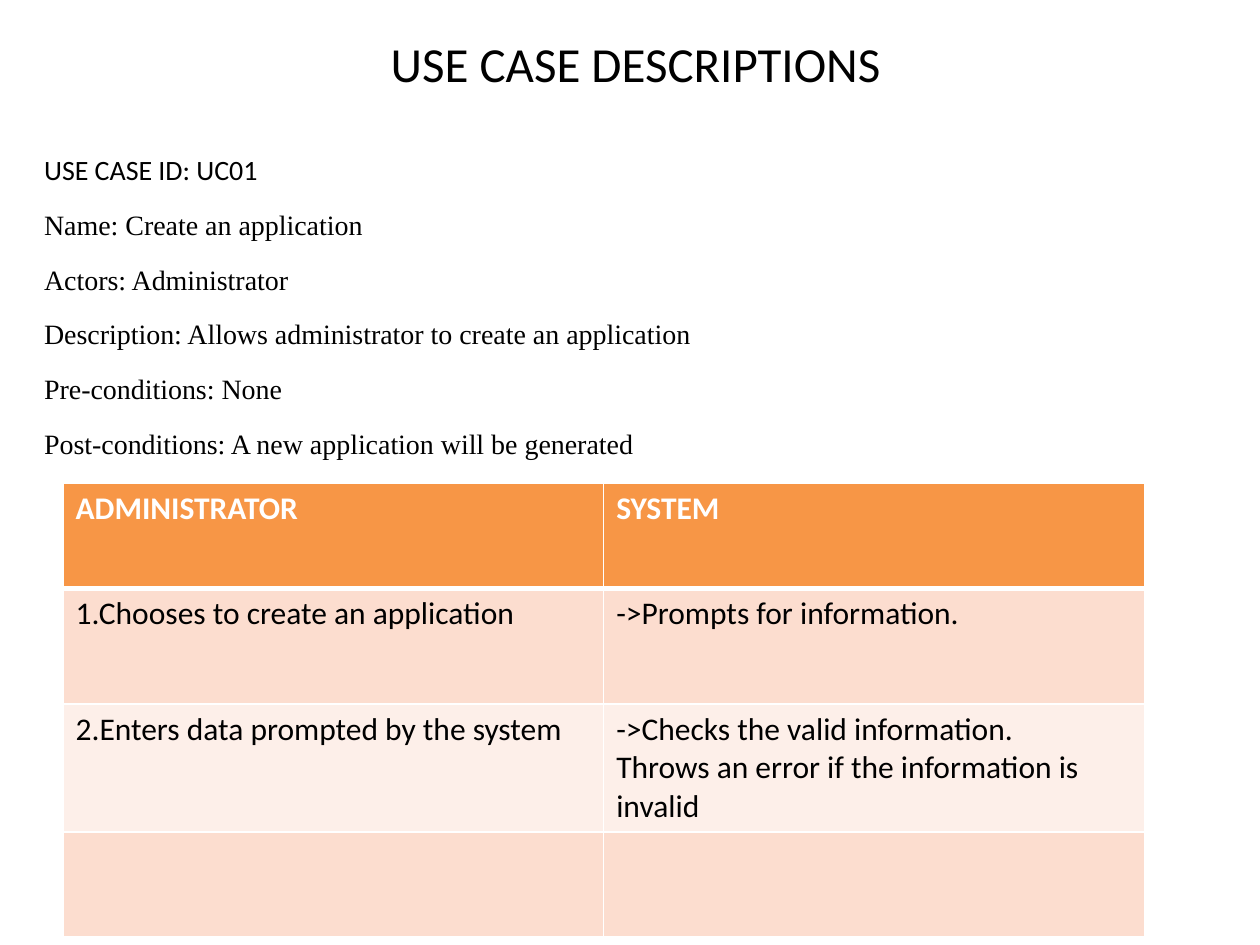
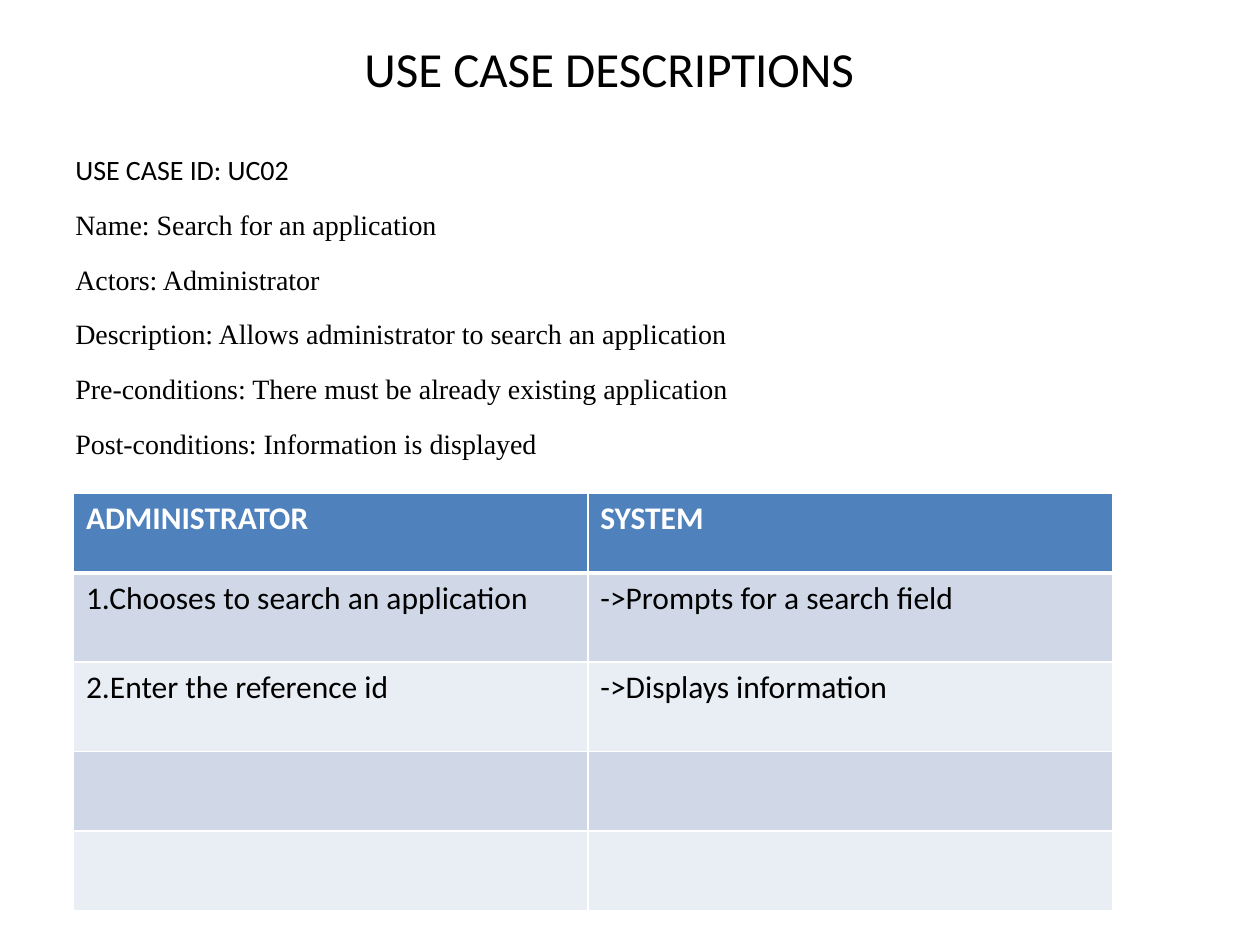
from dataclasses import dataclass

import pptx
import pptx.dml.color
import pptx.enum.text
import pptx.oxml
import pptx.oxml.ns
import pptx.util
from pptx.dml.color import RGBColor
from pptx.util import Cm

# Shared colours and fonts
BLACK = RGBColor(0x00, 0x00, 0x00)
WHITE = RGBColor(0xFF, 0xFF, 0xFF)
ORANGE = RGBColor(0xF7, 0x96, 0x46)
ORANGE_BAND = RGBColor(0xFC, 0xDD, 0xCF)
ORANGE_PALE = RGBColor(0xFD, 0xEF, 0xE9)
BLUE = RGBColor(0x4F, 0x81, 0xBD)
BLUE_BAND = RGBColor(0xD0, 0xD8, 0xE8)
BLUE_PALE = RGBColor(0xE9, 0xED, 0xF4)
SANS = "Calibri"
SERIF = "Times New Roman"

TITLE = "USE CASE DESCRIPTIONS"
FIELDS = ("Name", "Actors", "Description", "Pre-conditions", "Post-conditions")
HEADINGS = ("ADMINISTRATOR", "SYSTEM")


@dataclass(frozen=True)
class Box:
    """Left, top, width and height in centimetres."""
    left: float
    top: float
    width: float
    height: float

    def lengths(self) -> tuple:
        return Cm(self.left), Cm(self.top), Cm(self.width), Cm(self.height)


@dataclass(frozen=True)
class Palette:
    header: RGBColor
    bands: tuple[RGBColor, RGBColor]


@dataclass(frozen=True)
class UseCase:
    number: str
    details: tuple[str, ...]      # one value for each of FIELDS
    steps: tuple[tuple[str, str], ...]
    palette: Palette
    title_box: Box
    details_box: Box
    flow_left: float
    flow_top: float
    column_widths: tuple[float, float]
    row_heights: tuple[float, ...]


USE_CASES = (
    UseCase(
        number="UC01",
        details=("Create an application", "Administrator",
                 "Allows administrator to create an application",
                 "None", "A new application will be generated"),
        steps=(("1.Chooses to create an application", "->Prompts for information."),
               ("2.Enters data prompted by the system",
                "->Checks the valid information.\n"
                "Throws an error if the information is invalid"),
               ("", "")),
        palette=Palette(ORANGE, (ORANGE_BAND, ORANGE_PALE)),
        title_box=Box(4.87, 0, 15.88, 2.54),
        details_box=Box(0.64, 2.96, 24.34, 16.09),
        flow_left=1.27, flow_top=9.74,
        column_widths=(10.9, 10.9),
        row_heights=(2.12, 2.33, 2.58, 2.12),
    ),
    UseCase(
        number="UC02",
        details=("Search for an application", "Administrator",
                 "Allows administrator to search an application",
                 "There must be already existing application",
                 "Information is displayed"),
        steps=(("1.Chooses to search an application", "->Prompts for a search field"),
               ("2.Enter the reference id", "->Displays information"),
               ("", ""), ("", "")),
        palette=Palette(BLUE, (BLUE_BAND, BLUE_PALE)),
        title_box=Box(0.85, 0, 22.86, 2.75),
        details_box=Box(1.27, 2.96, 22.86, 14.05),
        flow_left=1.48, flow_top=9.95,
        column_widths=(10.37, 10.58),
        row_heights=(1.6, 1.8, 1.8, 1.6, 1.6),
    ),
)


def add_run(paragraph, text: str, size: float, font: str = SANS,
            color: RGBColor = BLACK, bold: bool = False) -> None:
    run = paragraph.add_run()
    run.text = text
    run.font.size = pptx.util.Pt(size)
    run.font.name = font
    run.font.bold = bold
    run.font.color.rgb = color


def add_frame(slide, box: Box):
    frame = slide.shapes.add_textbox(*box.lengths()).text_frame
    frame.word_wrap = True
    return frame


def add_title(slide, box: Box) -> None:
    frame = add_frame(slide, box)
    frame.vertical_anchor = pptx.enum.text.MSO_ANCHOR.MIDDLE
    heading = frame.paragraphs[0]
    heading.alignment = pptx.enum.text.PP_ALIGN.CENTER
    add_run(heading, TITLE, 28)


def add_details(slide, case: UseCase) -> None:
    frame = add_frame(slide, case.details_box)
    identifier = frame.paragraphs[0]
    identifier.space_before = pptx.util.Pt(3.2)
    add_run(identifier, f"USE CASE ID: {case.number}", 16)
    for field, value in zip(FIELDS, case.details):
        detail = frame.add_paragraph()
        detail.line_spacing = pptx.util.Pt(28)
        detail.space_before = pptx.util.Pt(3.2)
        add_run(detail, f"{field}: {value}", 16, SERIF)


def set_borders(cell, top: float, bottom: float) -> None:
    """Draw white cell borders; widths are in points."""
    properties = cell._tc.get_or_add_tcPr()
    widths = (("lnL", 1), ("lnR", 1), ("lnT", top), ("lnB", bottom))
    for position, (side, width) in enumerate(widths):
        border = pptx.oxml.parse_xml(
            f'<a:{side} {pptx.oxml.ns.nsdecls("a")} w="{pptx.util.Pt(width)}">'
            f'<a:solidFill><a:srgbClr val="{WHITE}"/></a:solidFill></a:{side}>')
        properties.insert(position, border)


def add_flow(slide, case: UseCase) -> None:
    """Add the table of administrator steps and system responses."""
    rows = (HEADINGS,) + case.steps
    area = Box(case.flow_left, case.flow_top,
               sum(case.column_widths), sum(case.row_heights))
    flow = slide.shapes.add_table(len(rows), len(HEADINGS), *area.lengths()).table
    for column, width in zip(flow.columns, case.column_widths):
        column.width = Cm(width)
    for row, height in zip(flow.rows, case.row_heights):
        row.height = Cm(height)

    for row_index, texts in enumerate(rows):
        is_header = row_index == 0
        fill = case.palette.header if is_header else case.palette.bands[(row_index - 1) % 2]
        for column_index, text in enumerate(texts):
            cell = flow.cell(row_index, column_index)
            cell.fill.solid()
            cell.fill.fore_color.rgb = fill
            set_borders(cell, top=3 if row_index == 1 else 1,
                        bottom=3 if is_header else 1)
            for line_index, line in enumerate(text.splitlines()):
                frame = cell.text_frame
                step = frame.add_paragraph() if line_index else frame.paragraphs[0]
                add_run(step, line, 18, color=WHITE if is_header else BLACK,
                        bold=is_header)


# Build one slide for each use case
deck = pptx.Presentation()
deck.slide_width, deck.slide_height = Cm(25.4), Cm(19.05)
for use_case in USE_CASES:
    page = deck.slides.add_slide(deck.slide_layouts[6])
    add_title(page, use_case.title_box)
    add_details(page, use_case)
    add_flow(page, use_case)
deck.save("out.pptx")
